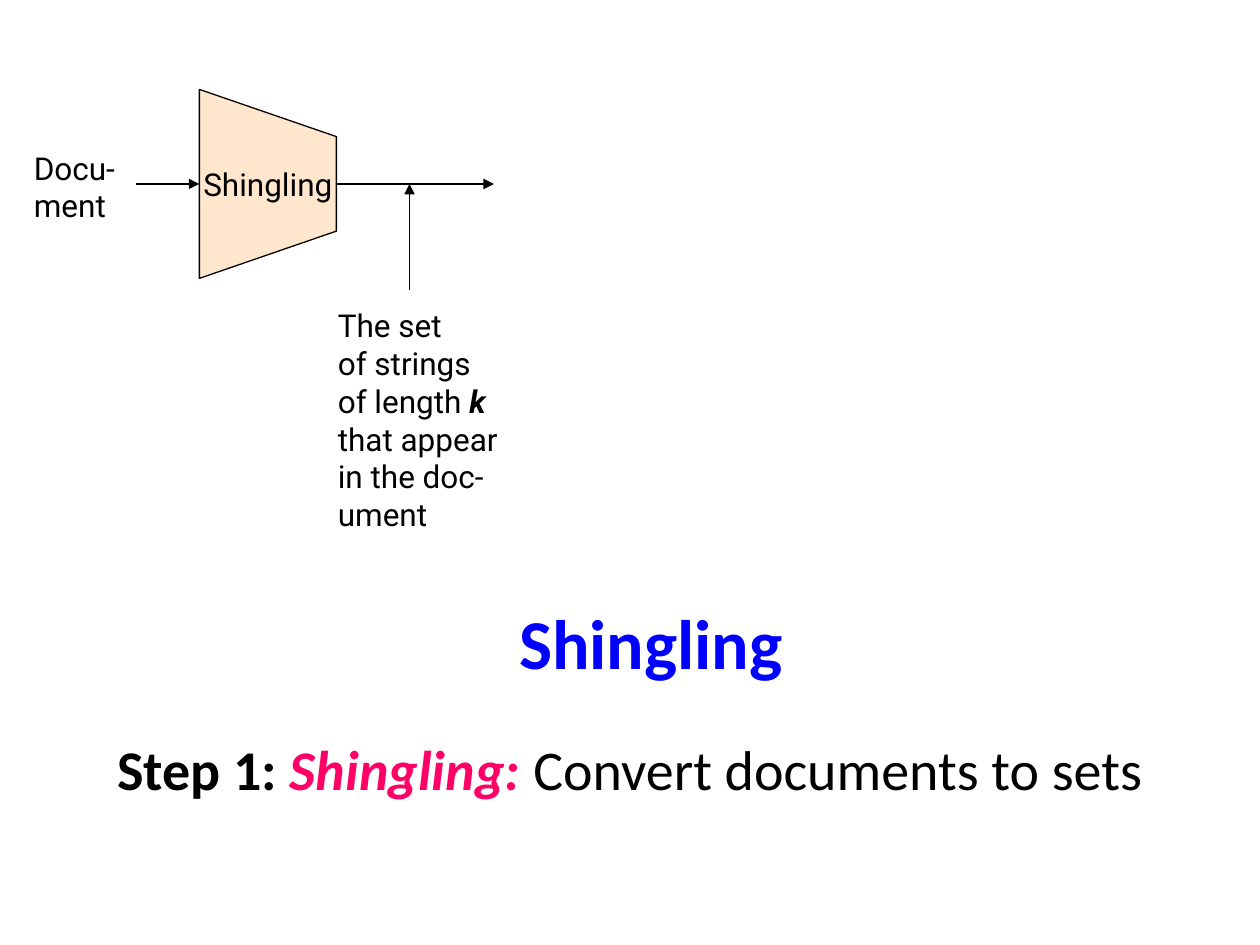
from dataclasses import dataclass

from lxml import etree
from pptx import Presentation
from pptx.dml.color import RGBColor
from pptx.enum.shapes import MSO_CONNECTOR
from pptx.enum.text import MSO_ANCHOR, MSO_AUTO_SIZE, PP_ALIGN
from pptx.oxml.ns import qn
from pptx.util import Inches, Pt

STRAIGHT = MSO_CONNECTOR.STRAIGHT
TOP, MIDDLE = MSO_ANCHOR.TOP, MSO_ANCHOR.MIDDLE
LEFT, CENTER = PP_ALIGN.LEFT, PP_ALIGN.CENTER
NO_FIT = MSO_AUTO_SIZE.NONE
TITLE_ONLY = 5


@dataclass(frozen=True)
class Theme:
    ink: RGBColor = RGBColor(0, 0, 0)
    heading: RGBColor = RGBColor(0, 0, 0xFF)
    accent: RGBColor = RGBColor(0xFF, 0, 0x66)
    stage_fill: RGBColor = RGBColor(0xFF, 0xCC, 0x99)
    stage_alpha: int = 49000
    text_font: str = "Calibri"
    diagram_font: str = "Roboto"
    title_size: int = 40
    step_size: int = 32
    label_size: int = 18
    line_width: float = 0.75


THEME = Theme()


def place(part, box):
    part.left, part.top, part.width, part.height = (Inches(v) for v in box)


def write(frame, lines, size, font, align=LEFT, anchor=TOP, wrap=True):
    frame.auto_size = NO_FIT
    frame.word_wrap = wrap
    frame.vertical_anchor = anchor
    for number, runs in enumerate(lines):
        paragraph = frame.add_paragraph() if number else frame.paragraphs[0]
        paragraph.alignment = align
        paragraph.space_before = Pt(0)
        for text, color, bold, italic in runs:
            run = paragraph.add_run()
            run.text = text
            run.font.size = Pt(size)
            run.font.name = font
            run.font.color.rgb = color
            run.font.bold = bold
            run.font.italic = italic


def plain(text):
    return (text, THEME.ink, False, False)


def add_label(slide, box, lines):
    label = slide.shapes.add_textbox(*(Inches(v) for v in box))
    write(label.text_frame, lines, THEME.label_size, THEME.diagram_font)


def add_arrow(slide, start, end):
    arrow = slide.shapes.add_connector(
        STRAIGHT, *(Inches(v) for v in (*start, *end)))
    arrow.line.color.rgb = THEME.ink
    arrow.line.width = Pt(THEME.line_width)
    line = arrow.line._get_or_add_ln()
    etree.SubElement(line, qn("a:tailEnd"), type="triangle")
    etree.SubElement(arrow._element.spPr, qn("a:effectLst"))


def add_stage(slide, box, name):
    left, top, width, height = box
    right, bottom = left + width, top + height
    slant = height / 4
    corners = [(right, top + slant), (right, bottom - slant), (left, bottom)]
    outline = slide.shapes.build_freeform(Inches(left), Inches(top))
    outline.add_line_segments([(Inches(x), Inches(y)) for x, y in corners])
    stage = outline.convert_to_shape()
    stage.shadow.inherit = False
    stage.fill.solid()
    stage.fill.fore_color.rgb = THEME.stage_fill
    color = stage._element.spPr.find(qn("a:solidFill"))[0]
    etree.SubElement(color, qn("a:alpha"), val=str(THEME.stage_alpha))
    stage.line.color.rgb = THEME.ink
    stage.line.width = Pt(THEME.line_width)
    frame = stage.text_frame
    frame.margin_left = frame.margin_right = 0
    write(frame, [[plain(name)]], THEME.label_size, THEME.diagram_font,
          CENTER, MIDDLE, wrap=False)


def add_pipeline(slide, box):
    left, top, width, height = box
    column, row = width / 15, height / 12

    def x(columns):
        return left + columns * column

    def y(rows):
        return top + rows * row

    flow = y(2.5)
    stage_left, stage_right = x(5.65), x(10)
    output = x(12.32)
    add_stage(slide, (stage_left, top, stage_right - stage_left, 5 * row),
              "Shingling")
    add_label(slide, (left, y(1.4), 3.4 * column, 2.33 * row),
              [[plain("Docu-")], [plain("ment")]])
    add_arrow(slide, (x(3.65), flow), (stage_left, flow))
    add_arrow(slide, (stage_right, flow), (x(15), flow))
    add_arrow(slide, (output, y(5.3)), (output, flow))
    add_label(slide, (x(9.65), y(5.57), 6.32 * column, 6.33 * row), [
        [plain("The set")],
        [plain("of strings")],
        [plain("of length "), ("k", THEME.ink, True, True)],
        [plain("that appear")],
        [plain("in the doc-")],
        [plain("ument")],
    ])


def add_title(slide, box):
    title = slide.shapes.title
    place(title, box)
    frame = title.text_frame
    frame.margin_top = Inches(0.72)
    write(frame, [[("Shingling", THEME.heading, True, False)]],
          THEME.title_size, THEME.text_font, CENTER, MIDDLE)


def add_step(slide, box):
    step = slide.shapes.add_textbox(*(Inches(v) for v in box))
    write(step.text_frame, [[
        ("Step 1: ", THEME.ink, True, False),
        ("Shingling:", THEME.accent, True, True),
        plain(" Convert documents to sets"),
    ]], THEME.step_size, THEME.text_font, CENTER)


def main():
    deck = Presentation()
    deck.slide_width, deck.slide_height = Inches(10), Inches(7.5)
    slide = deck.slides.add_slide(deck.slide_layouts[TITLE_ONLY])
    add_title(slide, (0.75, 3.84, 8.83, 1.83))
    add_step(slide, (0.75, 5.78, 8.5, 1.64))
    add_pipeline(slide, (0.17, 0.71, 3.75, 3.6))
    deck.save("out.pptx")


if __name__ == "__main__":
    main()
